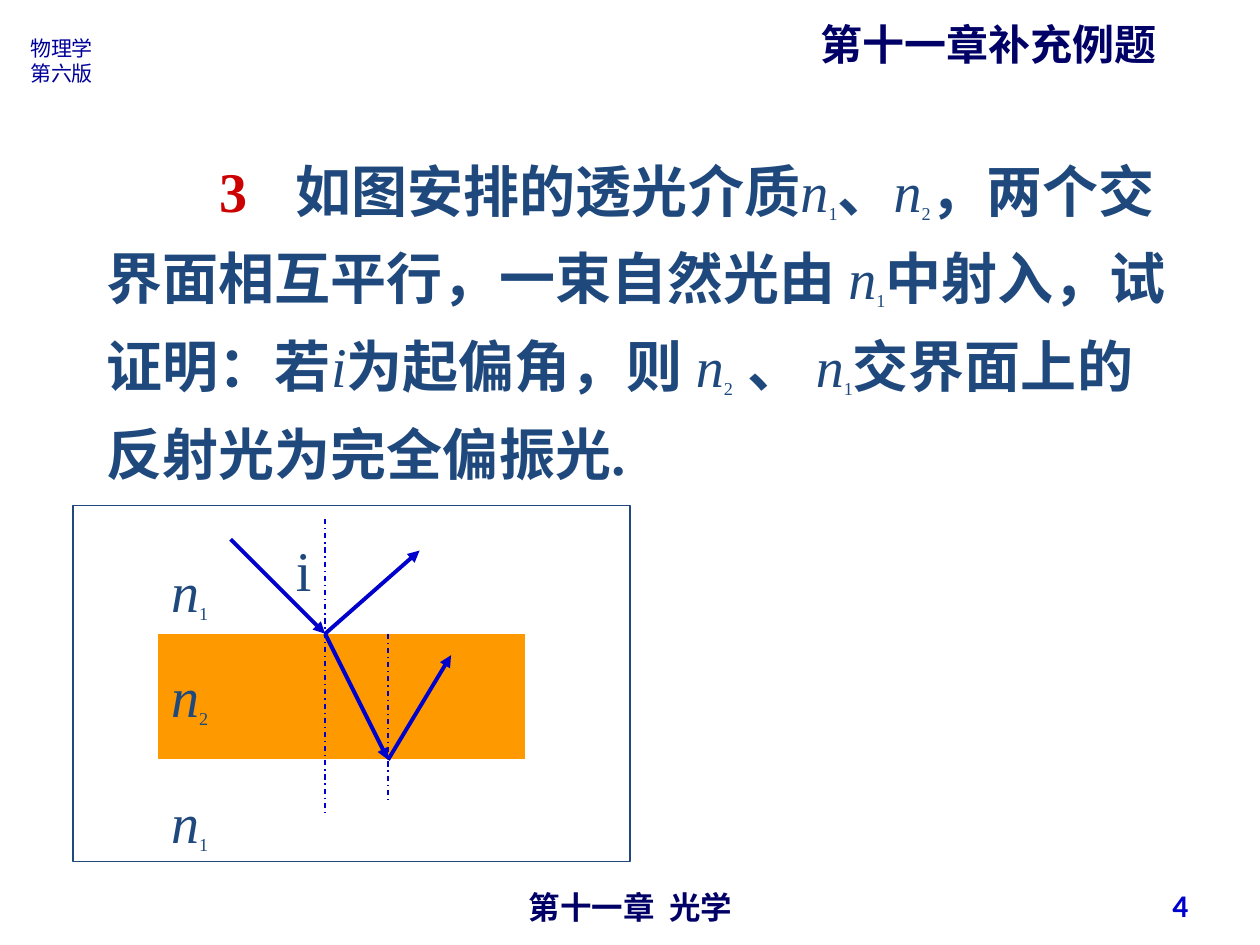
from lxml.etree import SubElement
from pptx import Presentation
from pptx.dml.color import RGBColor
from pptx.enum.dml import MSO_LINE_DASH_STYLE as Dash
from pptx.enum.shapes import MSO_CONNECTOR as Connector, MSO_SHAPE as Preset
from pptx.enum.text import MSO_ANCHOR as Anchor, MSO_AUTO_SIZE as AutoSize, PP_ALIGN as Align
from pptx.oxml.ns import qn
from pptx.util import Pt

PX = 9144
HAN = "Noto Sans CJK SC"
SERIF = "Times New Roman"
WHITE = RGBColor(0xFF, 0xFF, 0xFF)
NAVY = RGBColor(0x00, 0x00, 0x66)
EDITION_BLUE = RGBColor(0x00, 0x00, 0x99)
RAY_BLUE = RGBColor(0x00, 0x00, 0xCC)
INK = RGBColor(0x1F, 0x49, 0x7D)
RED = RGBColor(0xCC, 0x00, 0x00)
ORANGE = RGBColor(0xFF, 0x99, 0x00)

PLAIN = {"name": SERIF, "size": Pt(32), "color": INK}
BOLD = {**PLAIN, "bold": True}
NUMBER = {**BOLD, "color": RED}
SYMBOL = {**PLAIN, "italic": True}
INDEX = {**PLAIN, "size": Pt(18), "baseline": -25000}


def medium(index):
    return [("n", SYMBOL), (index, INDEX)]


class SlideWriter:
    def __init__(self, slide):
        self.slide = slide
        self.shapes = slide.shapes

    def place(self, shape, box):
        for side, px in zip(("left", "top", "width", "height"), box):
            setattr(shape, side, px * PX)

    def write_run(self, paragraph, text, style):
        run = paragraph.add_run()
        run.text = text
        for key, value in style.items():
            if key == "color":
                run.font.color.rgb = value
            elif key == "baseline":
                run._r.get_or_add_rPr().set("baseline", str(value))
            else:
                setattr(run.font, key, value)
        SubElement(run._r.get_or_add_rPr(), qn("a:ea"), typeface=HAN)

    def fill_text(self, shape, paragraphs, align=Align.LEFT, **frame_format):
        frame = shape.text_frame
        defaults = {"word_wrap": True, "vertical_anchor": Anchor.TOP, "auto_size": AutoSize.NONE}
        for key, value in {**defaults, **frame_format}.items():
            setattr(frame, key, value)
        for position, runs in enumerate(paragraphs):
            paragraph = frame.add_paragraph() if position else frame.paragraphs[0]
            paragraph.alignment = align
            for text, style in runs:
                self.write_run(paragraph, text, style)
        return frame

    def title(self, box, runs):
        self.place(self.shapes.title, box)
        self.fill_text(self.shapes.title, [runs])

    def text(self, box, paragraphs, **formats):
        shape = self.shapes.add_textbox(*(px * PX for px in box))
        return self.fill_text(shape, paragraphs, **formats)

    def label(self, box, runs):
        self.text(box, [runs], word_wrap=False, auto_size=AutoSize.SHAPE_TO_FIT_TEXT)

    def rectangle(self, box, fill, outline):
        shape = self.shapes.add_shape(Preset.RECTANGLE, *(px * PX for px in box))
        shape.shadow.inherit = False
        shape.fill.solid()
        shape.fill.fore_color.rgb = fill
        shape.line.color.rgb = outline
        shape.line.width = Pt(0.75)

    def line(self, start, end, width):
        connector = self.shapes.add_connector(
            Connector.STRAIGHT, *(px * PX for px in (*start, *end)))
        connector.line.color.rgb = RAY_BLUE
        connector.line.width = Pt(width)
        SubElement(connector._element.spPr, qn("a:effectLst"))
        return connector.line

    def ray(self, start, end):
        line = self.line(start, end, 2.25)
        SubElement(line._get_or_add_ln(), qn("a:tailEnd"), type="triangle")

    def normal(self, x, top, bottom):
        self.line((x, top), (x, bottom), 0.75).dash_style = Dash.DASH_DOT


def main():
    presentation = Presentation()
    presentation.slide_width = 1000 * PX
    presentation.slide_height = 750 * PX
    writer = SlideWriter(presentation.slides.add_slide(presentation.slide_layouts[5]))

    edition = {"name": HAN, "size": Pt(12), "color": EDITION_BLUE}
    heading = {"name": HAN, "size": Pt(24), "color": NAVY, "bold": True}
    chapter = {"name": "Arial", "size": Pt(18), "color": NAVY, "bold": True}
    page = {"name": "Calibri", "size": Pt(18), "color": RAY_BLUE, "bold": True}

    writer.text((14, 23, 72, 50), [[("物理学", edition)], [("第六版", edition)]])
    writer.text((342, 700, 317, 29), [[("第十一章  光学", chapter)]], align=Align.CENTER)
    writer.title((641, 10, 338, 50), [("第十一章补充例题", heading)])
    writer.text((720, 698, 233, 40), [[("4", page)]],
                align=Align.RIGHT, vertical_anchor=Anchor.MIDDLE)

    writer.rectangle((58, 401, 442, 283), WHITE, INK)

    problem = [
        ("3\t", NUMBER), ("如图安排的透光介质", BOLD), *medium("1"),
        ("、", BOLD), *medium("2"),
        ("，两个交界面相互平行，一束自然光由 ", BOLD), *medium("1"),
        ("中射入，试证明：若", BOLD), ("i", SYMBOL), ("为起偏角，则 ", BOLD), *medium("2"),
        (" ", PLAIN), ("、 ", BOLD), *medium("1"),
        ("交界面上的反射光为完全偏振光.", BOLD),
    ]
    statement = writer.text((75, 103, 867, 288), [problem]).paragraphs[0]
    statement.line_spacing = 1.3
    properties = statement._p.get_or_add_pPr()
    for key, value in {"marL": 0, "indent": 89 * PX, "hangingPunct": 0}.items():
        properties.set(key, str(value))
    tabs = SubElement(properties, qn("a:tabLst"))
    SubElement(tabs, qn("a:tab"), pos=str(137 * PX), algn="l")

    writer.rectangle((125, 503, 292, 100), ORANGE, WHITE)
    for top, index in ((520, "2"), (437, "1"), (620, "1")):
        writer.label((126, top, 52, 64), medium(index))

    entry, exit_point = (258, 503), (308, 603)
    writer.ray((183, 428), entry)
    writer.normal(entry[0], 412, 645)
    writer.ray(entry, (333, 437))
    writer.ray(entry, exit_point)
    writer.normal(exit_point[0], 503, 637)
    writer.ray(exit_point, (358, 520))
    writer.label((225, 420, 32, 64), [("i", PLAIN)])

    presentation.save("out.pptx")


if __name__ == "__main__":
    main()
